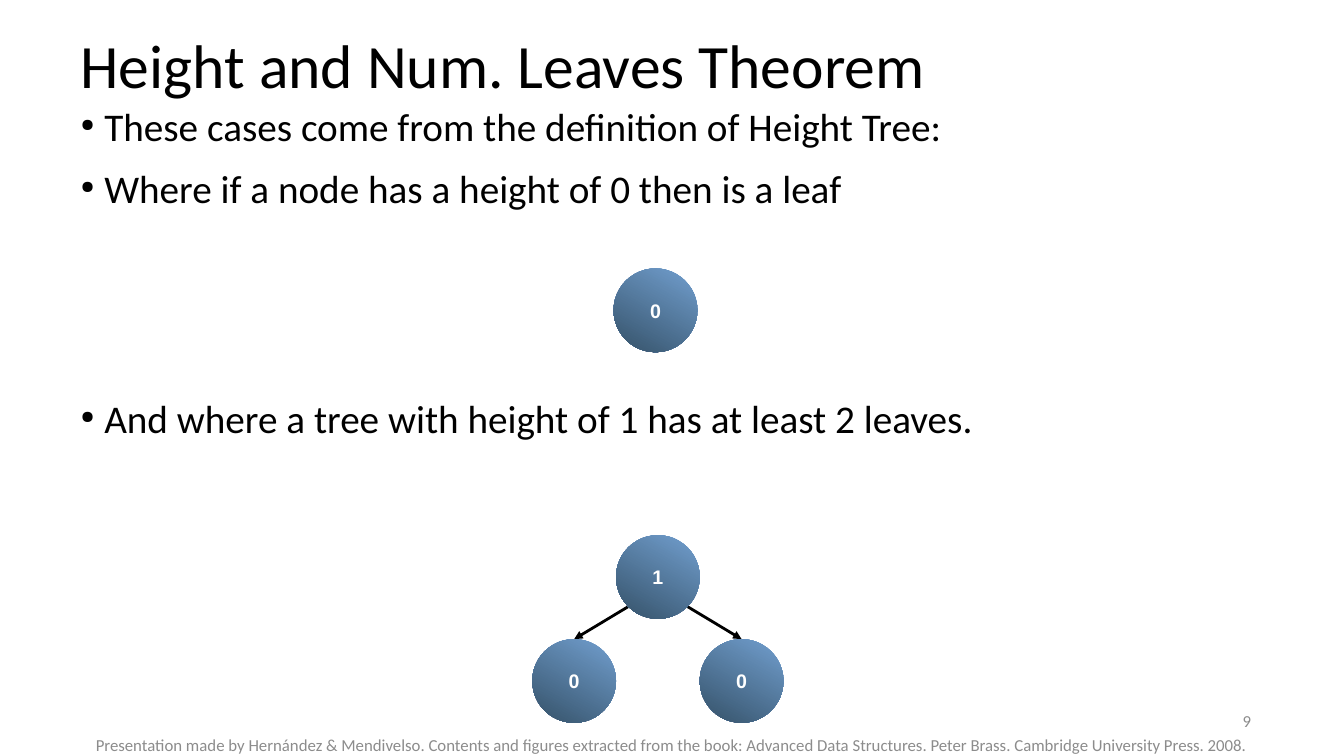
import lxml.etree
import pptx
import pptx.dml.color
import pptx.enum.shapes
import pptx.enum.text
import pptx.oxml.ns
import pptx.util

Cm = pptx.util.Cm
Pt = pptx.util.Pt
RGBColor = pptx.dml.color.RGBColor
ALIGN = pptx.enum.text.PP_ALIGN
ANCHOR = pptx.enum.text.MSO_ANCHOR
qn = pptx.oxml.ns.qn

BLACK = RGBColor(0x00, 0x00, 0x00)
WHITE = RGBColor(0xFF, 0xFF, 0xFF)
GREY = RGBColor(0x8C, 0x8C, 0x8C)
LIGHT_BLUE = RGBColor(0x72, 0x9F, 0xCF)
DARK_BLUE = RGBColor(0x35, 0x52, 0x69)


def format_frame(frame, anchor, wrap=True):
    frame.margin_left = frame.margin_right = frame.margin_top = frame.margin_bottom = 0
    frame.auto_size = pptx.enum.text.MSO_AUTO_SIZE.NONE
    frame.vertical_anchor = anchor
    frame.word_wrap = wrap


def format_para(para, size, color, align, name="Calibri", bold=False):
    para.alignment = align
    para.font.size = Pt(size)
    para.font.name = name
    para.font.bold = bold
    para.font.color.rgb = color


deck = pptx.Presentation()
deck.slide_width = Cm(33.87)
deck.slide_height = Cm(19.05)
page = deck.slides.add_slide(deck.slide_layouts[5])

title = page.shapes.title
title.left, title.top, title.width, title.height = Cm(2.03), Cm(0.03), Cm(29.21), Cm(2.51)
title.text_frame.text = "Height and Num. Leaves Theorem"
format_frame(title.text_frame, ANCHOR.BOTTOM)
format_para(title.text_frame.paragraphs[0], 44, BLACK, ALIGN.LEFT)

notices = [
    ("Presentation made by Hernández & Mendivelso. Contents and figures extracted from the book: "
     "Advanced Data Structures. Peter Brass. Cambridge University Press. 2008.",
     0, 18.62, 33.87, 0.3, ALIGN.CENTER),
    ("9", 23.93, 17.65, 7.6, 1.02, ALIGN.RIGHT),
]
for text, left, top, width, height, align in notices:
    box = page.shapes.add_textbox(Cm(left), Cm(top), Cm(width), Cm(height))
    box.text_frame.text = text
    format_frame(box.text_frame, ANCHOR.MIDDLE)
    format_para(box.text_frame.paragraphs[0], 12, GREY, align)

cases = [
    ("These cases come from the definition of Height Tree:", 0),
    ("Where if a node has a height of 0 then is a leaf", 14.1),
    ("And where a tree with height of 1 has at least 2 leaves.", 134),
]
body = page.shapes.add_textbox(Cm(2.03), Cm(2.72), Cm(31.55), Cm(9.45))
format_frame(body.text_frame, ANCHOR.TOP)
body.text_frame.text = "\n".join(text for text, space in cases)
for para, (text, space) in zip(body.text_frame.paragraphs, cases):
    properties = para._p.get_or_add_pPr()
    properties.set("marL", str(Cm(0.6)))
    properties.set("indent", str(Cm(-0.6)))
    bullet_color = lxml.etree.SubElement(properties, qn("a:buClr"))
    lxml.etree.SubElement(bullet_color, qn("a:srgbClr"), val=str(BLACK))
    lxml.etree.SubElement(properties, qn("a:buSzPct"), val="45000")
    lxml.etree.SubElement(properties, qn("a:buChar"), char="●")
    para.line_spacing = 0.9
    para.space_before = Pt(space)
    format_para(para, 28, BLACK, ALIGN.LEFT)

DIAMETER = 2.11
RADIUS = DIAMETER / 2
ROOT_X, ROOT_Y = 16.58, 14.54
CHILD_Y = 17.16
DIAGONAL = RADIUS * 0.5 ** 0.5

nodes = [("0", 16.52, 7.82), ("1", ROOT_X, ROOT_Y)]
for side in (-1, 1):
    child_x = ROOT_X + side * DIAMETER
    nodes.append(("0", child_x, CHILD_Y))
    arrow = page.shapes.add_connector(
        pptx.enum.shapes.MSO_CONNECTOR.STRAIGHT,
        Cm(ROOT_X + side * DIAGONAL), Cm(ROOT_Y + DIAGONAL),
        Cm(child_x), Cm(CHILD_Y - RADIUS))
    arrow.line.color.rgb = BLACK
    arrow.line.width = Pt(0)
    lxml.etree.SubElement(arrow.line._get_or_add_ln(), qn("a:tailEnd"), type="triangle")
    lxml.etree.SubElement(arrow._element.spPr, qn("a:effectLst"))

for label, center_x, center_y in nodes:
    node = page.shapes.add_shape(
        pptx.enum.shapes.MSO_SHAPE.OVAL,
        Cm(center_x - RADIUS), Cm(center_y - RADIUS), Cm(DIAMETER), Cm(DIAMETER))
    node.shadow.inherit = False
    node.line.fill.background()
    node.fill.gradient()
    node.fill.gradient_angle = 240
    for stop, color, position in zip(node.fill.gradient_stops, (LIGHT_BLUE, DARK_BLUE), (0, 1)):
        stop.color.rgb = color
        stop.position = position
    node.text_frame.text = label
    format_frame(node.text_frame, ANCHOR.MIDDLE, wrap=False)
    format_para(node.text_frame.paragraphs[0], 14, WHITE, ALIGN.CENTER, "Arial", True)

deck.save("out.pptx")
